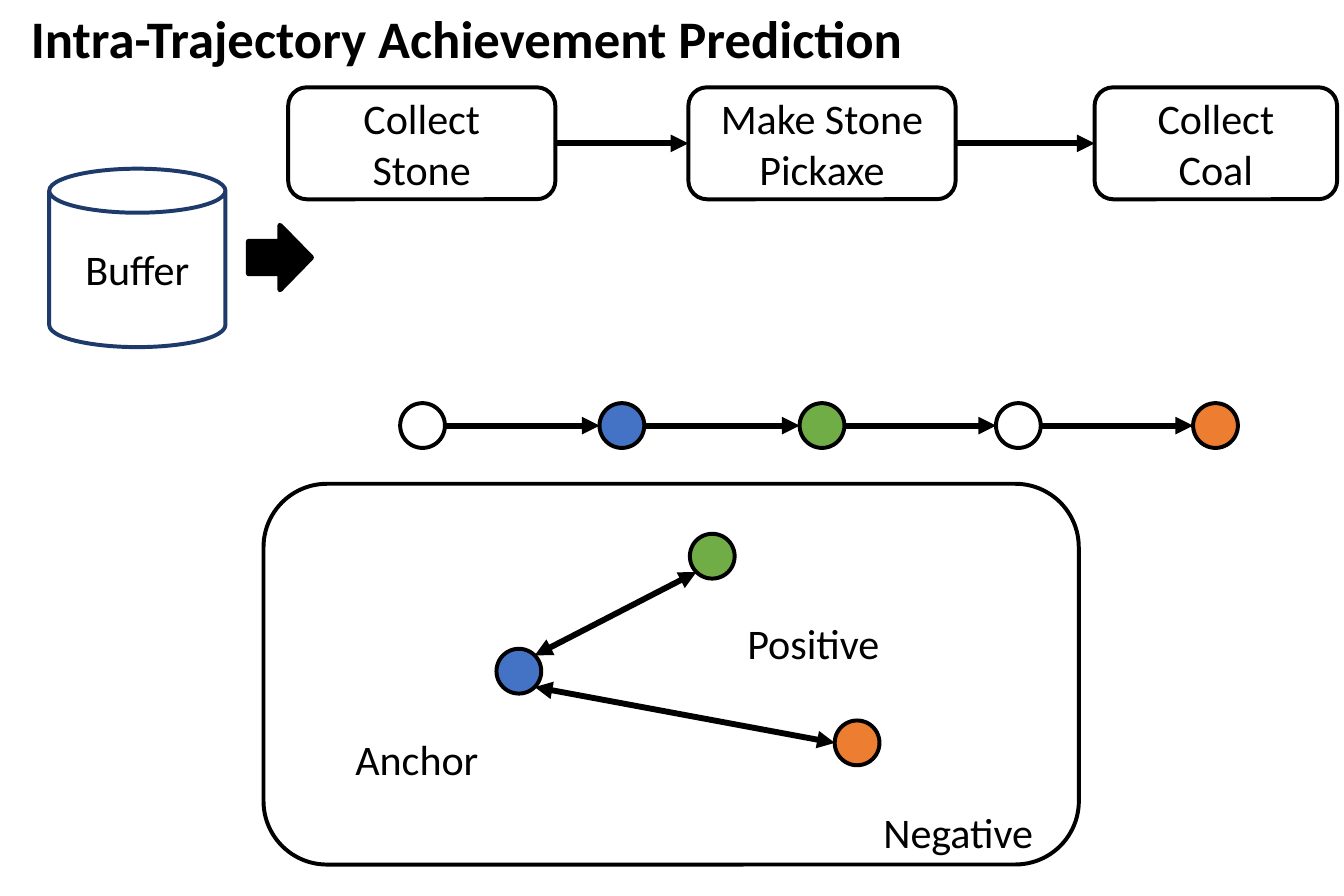
from math import cos, radians, sin

from lxml import etree
from pptx import Presentation
from pptx.dml.color import RGBColor
from pptx.enum.shapes import MSO_CONNECTOR, MSO_SHAPE
from pptx.enum.text import MSO_ANCHOR, MSO_AUTO_SIZE, PP_ALIGN
from pptx.oxml.ns import qn
from pptx.util import Cm, Pt

CIRCLE, ROUNDED = MSO_SHAPE.OVAL, MSO_SHAPE.ROUNDED_RECTANGLE
CAN, BLOCK_ARROW = MSO_SHAPE.CAN, MSO_SHAPE.RIGHT_ARROW
STRAIGHT = MSO_CONNECTOR.STRAIGHT
TOP, MIDDLE = MSO_ANCHOR.TOP, MSO_ANCHOR.MIDDLE
CENTER = PP_ALIGN.CENTER
NO_AUTOFIT = MSO_AUTO_SIZE.NONE

COLORS = {
    "black": "000000",
    "white": "FFFFFF",
    "anchor": "4472C4",
    "positive": "71AD47",
    "negative": "ED7D31",
    "buffer": "1D3A6B",
}
DIAMETER = 0.6
STEP_TOP, STEP_HEIGHT = 1.17, 1.5
STEPS = [
    ("Collect Stone", 3.86, 3.58),
    ("Make Stone Pickaxe", 9.22, 3.58),
    ("Collect Coal", 14.66, 3.25),
]
TRAJECTORY_Y = 5.7
TRAJECTORY = [
    (5.66, None),
    (8.33, "anchor"),
    (11.01, "positive"),
    (13.64, None),
    (16.28, "negative"),
]
CONTRAST = {
    "anchor": (6.95, 8.99),
    "positive": (9.54, 7.45),
    "negative": (11.48, 9.95),
}
LABELS = [
    ("Anchor", 4.24, 9.7, 2.69),
    ("Positive", 9.55, 8.15, 2.69),
    ("Negative", 11.35, 10.67, 2.97),
]


def rgb(color):
    return RGBColor.from_string(COLORS[color])


def rim(center, degrees):
    """Point on a state circle, with the angle counted clockwise from the right."""
    x, y = center
    angle = radians(degrees)
    return x + DIAMETER / 2 * cos(angle), y + DIAMETER / 2 * sin(angle)


class Diagram:
    """Holds the text style and the slide that is being drawn."""

    font = {"name": "Calibri", "size": Pt(16), "bold": False}

    def __init__(self, slide):
        self.slide = slide

    def set_text(self, holder, text, anchor=MIDDLE, **changes):
        frame = holder.text_frame
        frame.text = text
        frame_format = {
            "word_wrap": True,
            "auto_size": NO_AUTOFIT,
            "vertical_anchor": anchor,
        }
        for name, value in frame_format.items():
            setattr(frame, name, value)
        paragraph = frame.paragraphs[0]
        paragraph.alignment = CENTER
        paragraph.line_spacing = 1.0
        for name, value in {**self.font, **changes}.items():
            setattr(paragraph.font, name, value)
        paragraph.font.color.rgb = rgb("black")

    def title(self, text, left, top, width, height):
        title = self.slide.shapes.title
        place = {"left": left, "top": top, "width": width, "height": height}
        for name, value in place.items():
            setattr(title, name, Cm(value))
        self.set_text(title, text, TOP, size=Pt(20), bold=True)

    def label(self, text, left, top, width, height=0.94):
        box = self.slide.shapes.add_textbox(Cm(left), Cm(top), Cm(width), Cm(height))
        self.set_text(box, text, TOP)

    def shape(self, preset, left, top, width, height,
              text="", fill=None, line="black", weight=1.5):
        shape = self.slide.shapes.add_shape(
            preset, Cm(left), Cm(top), Cm(width), Cm(height))
        shape.shadow.inherit = False
        if fill:
            shape.fill.solid()
            shape.fill.fore_color.rgb = rgb(fill)
        else:
            shape.fill.background()
        shape.line.color.rgb = rgb(line)
        shape.line.width = Pt(weight)
        if text:
            self.set_text(shape, text)

    def state(self, center, fill):
        x, y = center
        self.shape(CIRCLE, x - DIAMETER / 2, y - DIAMETER / 2,
                   DIAMETER, DIAMETER, fill=fill)

    def arrow(self, start, end, ends=("tailEnd",)):
        arrow = self.slide.shapes.add_connector(
            STRAIGHT, *(Cm(value) for value in (*start, *end)))
        arrow.line.color.rgb = rgb("black")
        arrow.line.width = Pt(2.25)
        properties = arrow._element.spPr
        line = properties.find(qn("a:ln"))
        for arrowhead in ends:
            etree.SubElement(line, qn(f"a:{arrowhead}"), type="triangle")
        etree.SubElement(properties, qn("a:effectLst"))


def main():
    presentation = Presentation()
    presentation.slide_width, presentation.slide_height = Cm(18), Cm(12)
    title_only = presentation.slide_layouts[5]
    diagram = Diagram(presentation.slides.add_slide(title_only))
    diagram.title("Intra-Trajectory Achievement Prediction", -0.28, -0.05, 13.06, 1.12)

    for text, left, width in STEPS:
        diagram.shape(ROUNDED, left, STEP_TOP, width, STEP_HEIGHT, text)
    step_middle = STEP_TOP + STEP_HEIGHT / 2
    for (_, left, width), (_, next_left, _) in zip(STEPS, STEPS[1:]):
        diagram.arrow((left + width, step_middle), (next_left, step_middle))

    diagram.shape(CAN, 0.66, 2.26, 2.36, 2.39, "Buffer", line="buffer")
    diagram.shape(BLOCK_ARROW, 3.33, 3.02, 0.84, 0.86, fill="black", weight=2)

    for x, fill in TRAJECTORY:
        diagram.state((x, TRAJECTORY_Y), fill)
    for (x, _), (next_x, _) in zip(TRAJECTORY, TRAJECTORY[1:]):
        diagram.arrow(rim((x, TRAJECTORY_Y), 0), rim((next_x, TRAJECTORY_Y), 180))

    diagram.shape(ROUNDED, 3.53, 6.48, 10.92, 5.1, fill="white")
    for role, center in CONTRAST.items():
        diagram.state(center, role)
    for role, anchor_angle, role_angle in (("positive", -45, 135), ("negative", 45, 180)):
        diagram.arrow(rim(CONTRAST["anchor"], anchor_angle),
                      rim(CONTRAST[role], role_angle), ("headEnd", "tailEnd"))
    for label in LABELS:
        diagram.label(*label)

    presentation.save("out.pptx")


if __name__ == "__main__":
    main()
